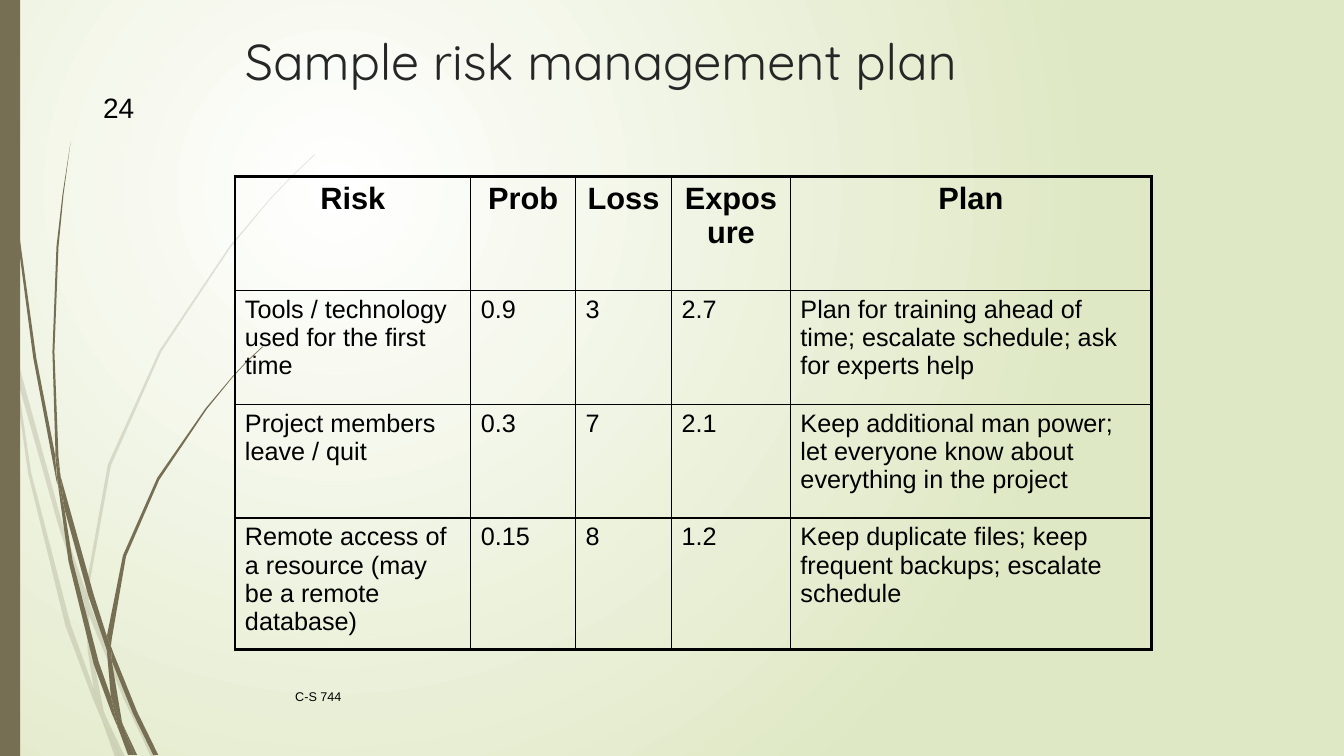
from lxml.etree import SubElement
from pptx import Presentation
from pptx.dml.color import RGBColor
from pptx.enum.shapes import MSO_SHAPE
from pptx.enum.text import MSO_ANCHOR, PP_ALIGN
from pptx.oxml.ns import qn
from pptx.util import Inches, Pt

COLORS = {"white": "FFFFFF", "green": "DFE8C4", "brown": "766F54",
          "black": "000000", "gray": "262626"}

PALE = [
    "11 350 9 322 0 282 0 299 10 344",
    "58 522 84 599 85 586 62 520 14 345 17 376",
    "92 607 88 596 88 610 123 694 150 751 155 751 127 692",
    "119 751 124 751 105 711",
    "93 683 70 619 31 469 17 376 11 350 28 470 65 621 92 693 101 714 99 707",
    "84 599 87 646 93 683 96 692 105 711 103 706 91 646 88 610 88 608",
    "88 584 110 462 160 349 229 245 268 198 290 175 312 154 312 153"
    " 289 175 268 197 228 244 158 348 107 461 85 584 85 586 88 596",
    "101 714 114 751 119 751",
    "88 608 88 610 88 596 85 586 84 599",
    "96 692 93 683 99 707 101 714 119 751 105 711",
]
DARK = [
    "7 110 17 233 33 355 56 477 57 481 55 457 55 453 36 355 19 232 8 109 5 48 4 0 3 0 4 48",
    "88 592 106 645 106 633 106 631 93 590 60 472 64 505",
    "113 649 110 641 111 656 132 708 152 749 157 749 136 706",
    "110 691 98 657 72 556 64 505 57 477 68 557 93 659 111 708 117 722 116 717",
    "60 472 58 453 54 349 58 245 63 193 70 141 62 193 56 245 52 349 55 449",
    "133 749 136 749 122 719",
    "57 477 64 505 60 472 55 449 55 453",
    "111 633 125 552 158 476 205 406 231 374 245 359 261 344 260 344"
    " 245 358 231 373 204 405 156 474 122 551 106 631 110 641",
    "117 722 127 749 131 749",
    "106 645 110 691 116 706 122 719 121 716 111 656 109 651",
    "106 645 109 651 111 656 110 641 106 631 106 633",
    "116 706 110 691 116 717 117 722 130 749 133 749 122 719",
]

HEADS = ["Risk", "Prob", "Loss", "Exposure", "Plan"]
RISKS = [
    ["Tools / technology used for the first time", "0.9", "3", "2.7",
     "Plan for training ahead of time; escalate schedule; ask for experts help"],
    ["Project members leave / quit", "0.3", "7", "2.1",
     "Keep additional man power; let everyone know about everything in the project"],
    ["Remote access of a resource (may be a remote database)", "0.15", "8", "1.2",
     "Keep duplicate files; keep frequent backups; escalate schedule"],
]
WIDTHS = [2.34, 1.04, 0.95, 1.18, 3.58]
HEIGHTS = [1.13, 1.13, 1.13, 1.3]


def tint(name):
    """Return the named colour."""
    return RGBColor.from_string(COLORS[name])


def put(item, **vals):
    """Set each given value on the item."""
    for key, val in vals.items():
        setattr(item, key, val)


def place(item, *box):
    """Move and size the item in inches."""
    put(item, **dict(zip(("left", "top", "width", "height"), map(Inches, box))))


def write(frame, text, size, font="Arial", color="black", bold=False,
          align=PP_ALIGN.LEFT):
    """Fill a text frame with one styled line of text."""
    para = frame.paragraphs[0]
    para.alignment = align
    run = para.add_run()
    run.text = text
    put(run.font, size=Pt(size), name=font, bold=bold)
    run.font.color.rgb = tint(color)


def paint(shape):
    """Give a shape the plain brown fill."""
    shape.shadow.inherit = False
    shape.fill.solid()
    shape.fill.fore_color.rgb = tint("brown")
    shape.line.fill.background()


def grass(slide, blades, alpha=None):
    """Draw a group of grass blades from points in hundredths of an inch."""
    group = slide.shapes.add_group_shape()
    for data in blades:
        nums = [Inches(int(num) / 100) for num in data.split()]
        first, *rest = zip(nums[::2], nums[1::2])
        pen = group.shapes.build_freeform(*first, scale=1.0)
        pen.add_line_segments(rest, close=True)
        blade = pen.convert_to_shape()
        paint(blade)
        if alpha:
            tone = blade.element.spPr.find(".//" + qn("a:srgbClr"))
            SubElement(tone, qn("a:alpha"), val=str(alpha * 1000))


def glow(slide):
    """Fill the background with a round gradient."""
    fill = slide.background.fill
    fill.gradient()
    for stop, name, spot in zip(fill.gradient_stops, ("white", "green"), (0, 1)):
        stop.color.rgb = tint(name)
        stop.position = spot
    grad = slide.element.find(".//" + qn("a:gradFill"))
    grad.remove(grad.find(qn("a:lin")))
    ring = SubElement(grad, qn("a:path"), path="circle")
    SubElement(ring, qn("a:fillToRect"), l="50000", t="50000", r="100000", b="100000")


def label(slide, text, size, box, align=PP_ALIGN.LEFT):
    """Add a text box with its text centred in height."""
    area = slide.shapes.add_textbox(*map(Inches, box))
    put(area.text_frame, word_wrap=True, vertical_anchor=MSO_ANCHOR.MIDDLE)
    write(area.text_frame, text, size, align=align)


def edge(cell, thick):
    """Draw the cell borders, thick on the given sides."""
    props = cell._tc.get_or_add_tcPr()
    for i, side in enumerate("LRTB"):
        width = Pt(2.25 if side in thick else 1)
        line = props.makeelement(qn("a:ln" + side), {"w": str(width)})
        props.insert(i, line)
        SubElement(SubElement(line, qn("a:solidFill")), qn("a:srgbClr"), val=COLORS["black"])


def grid(slide, rows):
    """Add the risk table with a thick outer frame."""
    box = (2.33, 1.75, sum(WIDTHS), sum(HEIGHTS))
    table = slide.shapes.add_table(len(rows), len(WIDTHS), *map(Inches, box)).table
    put(table, first_row=False, horz_banding=False)
    for col, width in zip(table.columns, WIDTHS):
        col.width = Inches(width)
    for r, row in enumerate(rows):
        table.rows[r].height = Inches(HEIGHTS[r])
        look = dict(size=18) if r else dict(size=22, bold=True, align=PP_ALIGN.CENTER)
        for c, text in enumerate(row):
            cell = table.cell(r, c)
            cell.fill.background()
            write(cell.text_frame, text, **look)
            outer = {"L": c == 0, "R": c == len(row) - 1, "T": r == 0, "B": r == len(rows) - 1}
            edge(cell, [side for side, on in outer.items() if on])


def main():
    """Build and save the slide."""
    deck = Presentation()
    put(deck, slide_width=Inches(13.33), slide_height=Inches(7.5))
    slide = deck.slides.add_slide(deck.slide_layouts[5])
    glow(slide)
    grass(slide, PALE, 20)
    grass(slide, DARK)
    paint(slide.shapes.add_shape(MSO_SHAPE.RECTANGLE, *map(Inches, (0, 0, 0.2, 7.5))))
    label(slide, "C-S 744", 9, (2.83, 6.71, 8.33, 0.4))
    label(slide, "24", 20, (0.58, 0.86, 0.85, 0.4), PP_ALIGN.RIGHT)
    title = slide.shapes.title
    place(title, 2.33, 0.25, 8.5, 1.25)
    title.text_frame.vertical_anchor = MSO_ANCHOR.TOP
    write(title.text_frame, "Sample risk management plan", 36, "Quicksand", "gray")
    grid(slide, [HEADS] + RISKS)
    deck.save("out.pptx")


if __name__ == "__main__":
    main()
